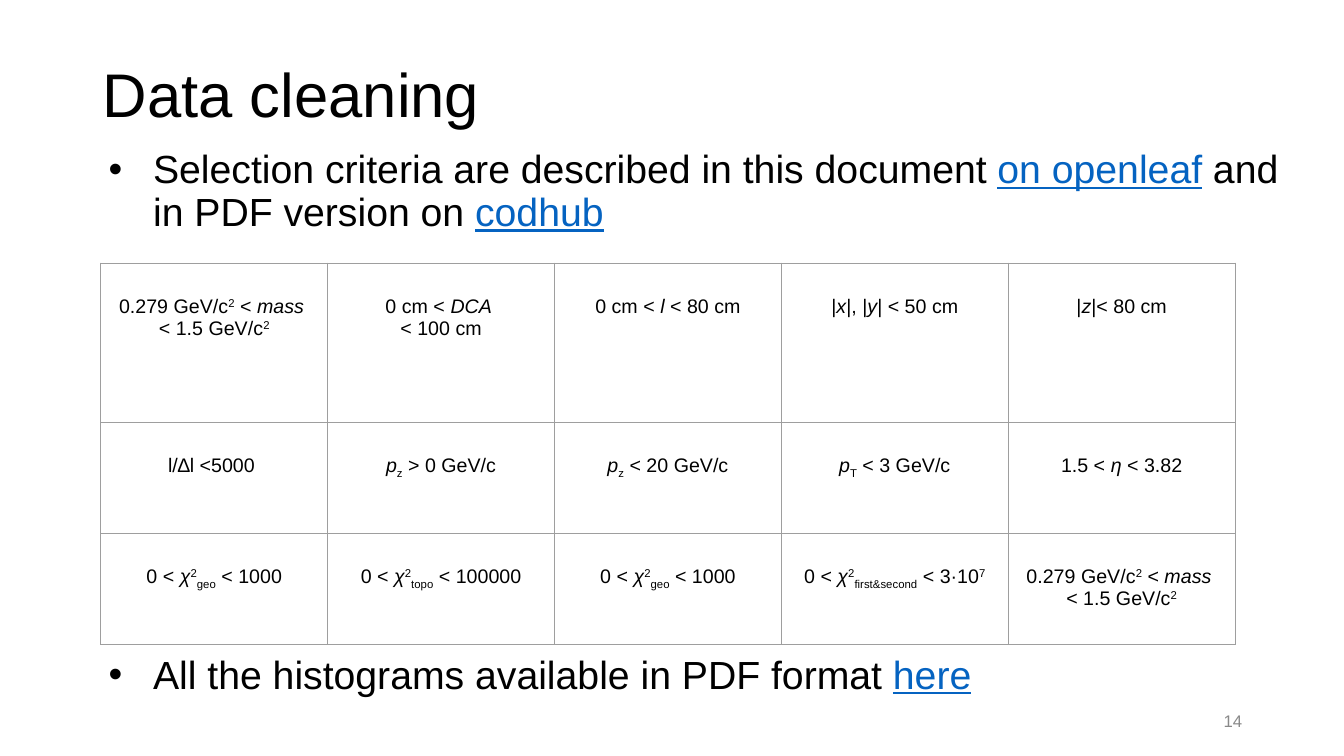
from pptx import Presentation
from pptx.dml.color import RGBColor
from pptx.enum.text import MSO_ANCHOR, PP_ALIGN
from pptx.oxml import parse_xml
from pptx.oxml.ns import nsdecls
from pptx.util import Inches, Pt

BLACK = RGBColor(0x00, 0x00, 0x00)
LINK = RGBColor(0x05, 0x63, 0xC1)
GREY = RGBColor(0x89, 0x89, 0x89)
BORDER = RGBColor(0x9E, 0x9E, 0x9E)


def mass_cut():
    return [("0.279 GeV/c", ""), ("2", "sup"), (" < ", ""), ("mass ", "i"),
            ("\n", ""), ("< 1.5 GeV/c", ""), ("2", "sup")]


def momentum_cut(axis, limit):
    return [("p", "i"), (axis, "sub"), (f" {limit} GeV/c", "")]


def chi2_cut(kind, limit):
    return [("0 < ", ""), ("χ", "i"), ("2", "sup"), (kind, "sub"),
            (f" < {limit}", "")]


CUTS = [
    [mass_cut(),
     [("0 cm < ", ""), ("DCA ", "i"), ("\n", ""), ("< 100 cm", "")],
     [("0 cm < ", ""), ("l", "i"), (" < 80 cm", "")],
     [("|", ""), ("x", "i"), ("|, |", ""), ("y", "i"), ("| < 50 cm", "")],
     [("|", ""), ("z", "i"), ("|< 80 cm", "")]],
    [[("l/∆l <5000 ", "")],
     momentum_cut("z", "> 0"),
     momentum_cut("z", "< 20"),
     momentum_cut("T", "< 3"),
     [("1.5 < ", ""), ("η ", "i"), ("< 3.82", "")]],
    [chi2_cut("geo", "1000"),
     chi2_cut("topo", "100000"),
     chi2_cut("geo", "1000"),
     chi2_cut("first&second", "3·10") + [("7", "sup")],
     mass_cut()],
]


class SlideBuilder:
    font = "Arial"
    baselines = {"sup": "30000", "sub": "-25000"}

    def __init__(self, s):
        self.s = s

    def runs(self, p, parts, size, color=BLACK):
        """Add (text, style) parts; style is "", "i", "sup", "sub" or "link"."""
        for text, style in parts:
            if text == "\n":
                p.add_line_break()
                continue
            r = p.add_run()
            r.text = text
            r.font.name = self.font
            r.font.size = Pt(size)
            r.font.color.rgb = LINK if style == "link" else color
            if style == "link":
                r.font.underline = True
            if style == "i":
                r.font.italic = True
            if style in self.baselines:
                r.font._element.set("baseline", self.baselines[style])

    def text(self, box, parts, size, color=BLACK, align=PP_ALIGN.LEFT,
             anchor=MSO_ANCHOR.MIDDLE, inset=0.05):
        tf = self.s.shapes.add_textbox(*map(Inches, box)).text_frame
        tf.word_wrap = True
        tf.vertical_anchor = anchor
        tf.margin_top = tf.margin_bottom = Inches(inset)
        p = tf.paragraphs[0]
        p.alignment = align
        self.runs(p, parts, size, color)
        return p

    def bullet(self, box, parts, inset):
        p = self.text(box, parts, 28, anchor=MSO_ANCHOR.TOP, inset=inset)
        p.line_spacing = 0.9
        p.space_before = Pt(5)
        pPr = p._p.get_or_add_pPr()
        pPr.set("marL", str(Inches(0.5)))
        pPr.set("indent", str(Inches(-0.44)))
        for xml in (f'<a:buClr {nsdecls("a")}><a:srgbClr val="{BLACK}"/></a:buClr>',
                    f'<a:buFont {nsdecls("a")} typeface="{self.font}"/>',
                    f'<a:buChar {nsdecls("a")} char="•"/>'):
            pPr.append(parse_xml(xml))

    def borders(self, cell):
        tcPr = cell._tc.get_or_add_tcPr()
        for i, side in enumerate(("lnL", "lnR", "lnT", "lnB")):
            tcPr.insert(i, parse_xml(
                f'<a:{side} {nsdecls("a")} w="{Pt(0.75)}"><a:solidFill>'
                f'<a:srgbClr val="{BORDER}"/></a:solidFill></a:{side}>'))

    def table(self, left, top, col_width, row_heights, rows):
        n_cols = len(rows[0])
        table = self.s.shapes.add_table(
            len(rows), n_cols, Inches(left), Inches(top),
            Inches(col_width * n_cols), Inches(sum(row_heights))).table
        table.first_row = table.horz_banding = False
        for column in table.columns:
            column.width = Inches(col_width)
        for row, height, cuts in zip(table.rows, row_heights, rows):
            row.height = Inches(height)
            for cell, parts in zip(row.cells, cuts):
                cell.fill.background()
                cell.margin_left = cell.margin_right = Inches(0.1)
                cell.margin_top = Inches(0.32)
                cell.margin_bottom = Inches(0.1)
                p = cell.text_frame.paragraphs[0]
                p.alignment = PP_ALIGN.CENTER
                self.runs(p, parts, 14)
                self.borders(cell)


def main():
    prs = Presentation()
    prs.slide_width = Inches(13.33)
    prs.slide_height = Inches(7.5)
    slide = SlideBuilder(prs.slides.add_slide(prs.slide_layouts[6]))

    title = slide.text((0.92, 0.24, 11.5, 1.45), [("Data cleaning", "")], 44)
    title.line_spacing = 0.9
    slide.bullet((0.92, 1.44, 12.16, 1.07),
                 [("Selection criteria are described in this document ", ""),
                  ("on openleaf", "link"), (" and in PDF version on ", ""),
                  ("codhub", "link")], inset=0.05)
    slide.text((9.42, 6.95, 3, 0.4), [("14", "")], 12, GREY, PP_ALIGN.RIGHT)
    slide.bullet((0.92, 6.4, 11.77, 0.63),
                 [("All the histograms available in PDF format ", ""),
                  ("here", "link")], inset=0.1)
    slide.table(1, 2.61, 2.25, (1.58, 1.1, 1.1), CUTS)

    prs.save("out.pptx")


if __name__ == "__main__":
    main()
